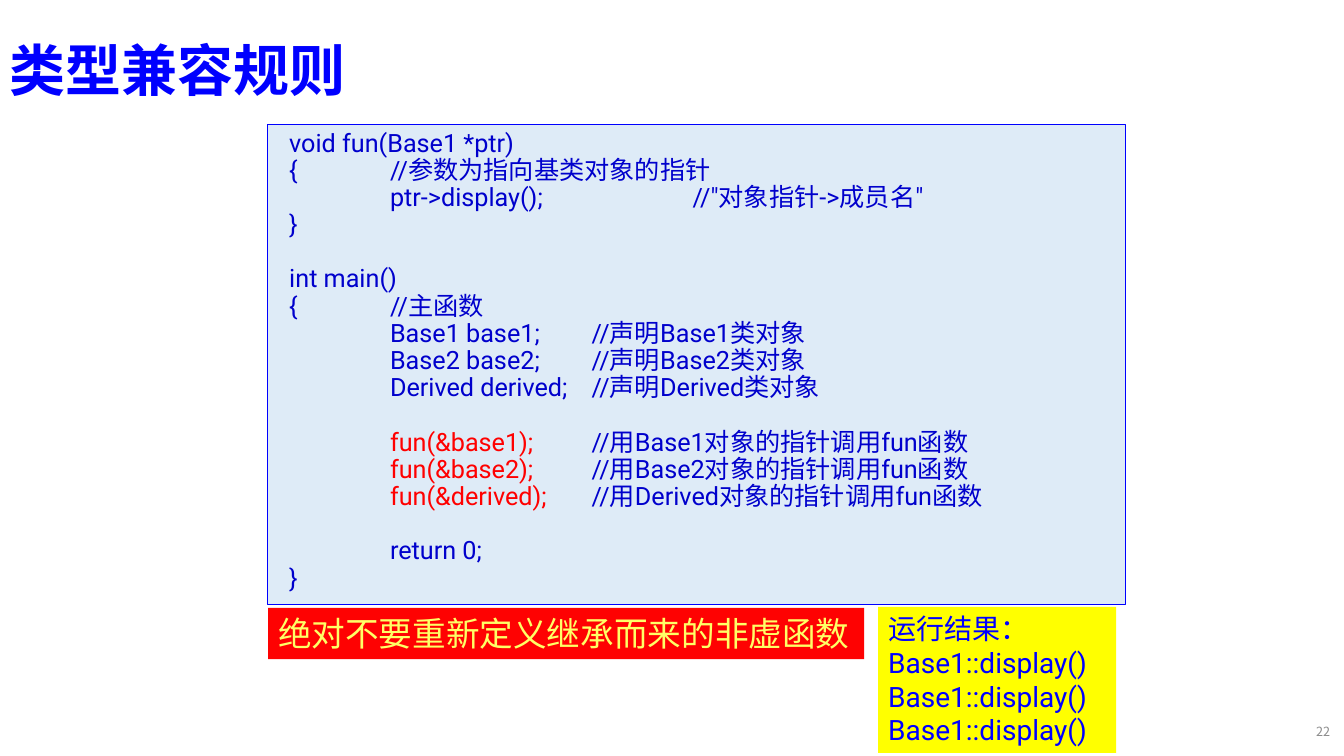
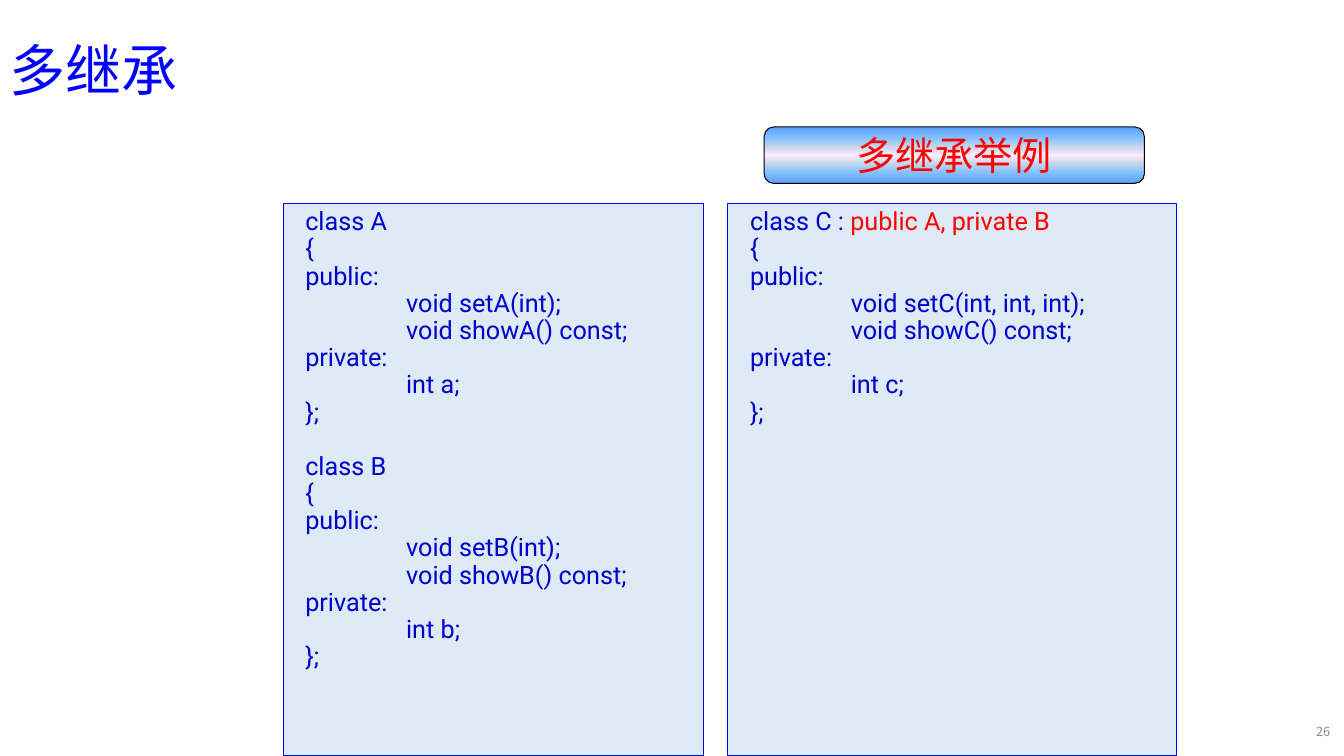
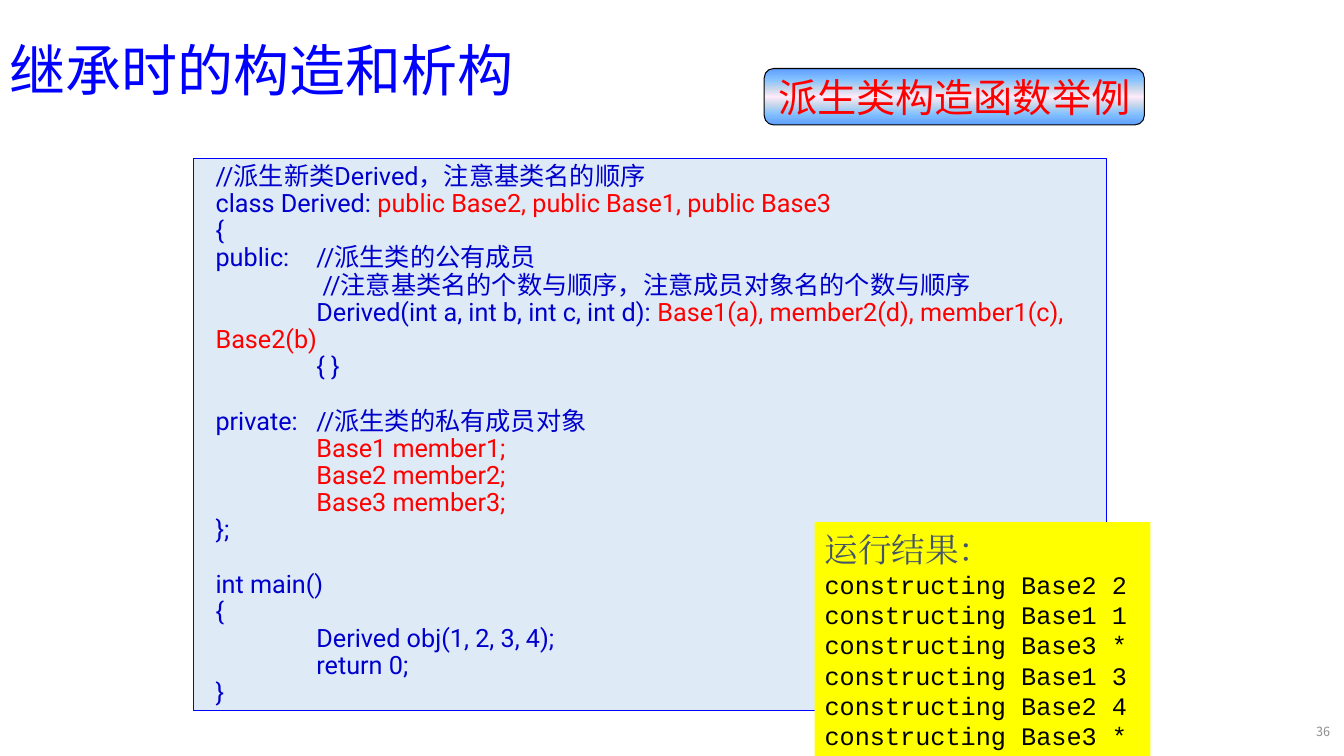
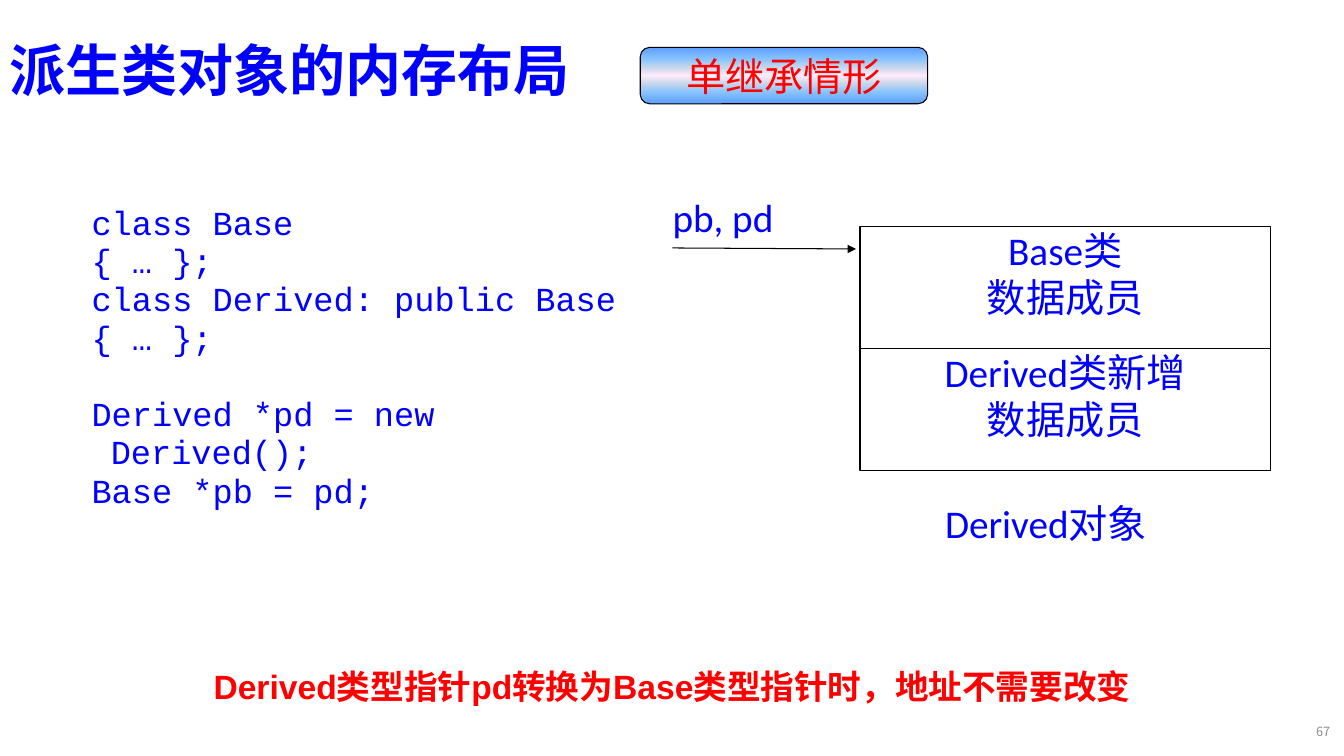
from lxml import etree
from pptx import Presentation
from pptx.dml.color import RGBColor
from pptx.enum.shapes import MSO_CONNECTOR, MSO_SHAPE
from pptx.enum.text import MSO_ANCHOR, PP_ALIGN
from pptx.oxml.ns import qn
from pptx.util import Inches, Pt

RECT, ROUNDED = MSO_SHAPE.RECTANGLE, MSO_SHAPE.ROUNDED_RECTANGLE
STRAIGHT = MSO_CONNECTOR.STRAIGHT
TOP, MIDDLE = MSO_ANCHOR.TOP, MSO_ANCHOR.MIDDLE
LEFT, CENTER, RIGHT = PP_ALIGN.LEFT, PP_ALIGN.CENTER, PP_ALIGN.RIGHT

BLUE = RGBColor(0x00, 0x00, 0xFF)
CODE_BLUE = RGBColor(0x00, 0x00, 0xCC)
RED = RGBColor(0xFF, 0x00, 0x00)
WARNING_RED = RGBColor(0xFE, 0x02, 0x02)
PALE_BLUE = RGBColor(0xDE, 0xEB, 0xF7)
YELLOW = RGBColor(0xFF, 0xFF, 0x00)
PALE_YELLOW = RGBColor(0xFF, 0xFF, 0x66)
SLATE = RGBColor(0x44, 0x54, 0x6A)
GRAY = RGBColor(0x8C, 0x8C, 0x8C)
BLACK = RGBColor(0x00, 0x00, 0x00)
BADGE_STOPS = [(0, "5E9EFF"), (20, "85C2FF"), (35, "C4D6EB"), (50, "FFEBFA"),
               (65, "C4D6EB"), (80, "85C2FF"), (100, "5E9EFF")]

CJK, SANS, CODE = "Noto Sans CJK SC", "Arial", "Roboto"
MONO, LABEL, SERIF = "Courier New", "Calibri", "Times New Roman"
LINE_HEIGHT = 1.2
HAIRLINE = Pt(0.75)

FUN_CODE = """void fun(Base1 *ptr)
{\t//参数为指向基类对象的指针
\tptr->display();\t\t//"对象指针->成员名"
}

int main()
{\t//主函数
\tBase1 base1;\t//声明Base1类对象
\tBase2 base2;\t//声明Base2类对象
\tDerived derived;\t//声明Derived类对象

\t|fun(&base1);|\t//用Base1对象的指针调用fun函数
\t|fun(&base2);|\t//用Base2对象的指针调用fun函数
\t|fun(&derived);|\t//用Derived对象的指针调用fun函数

\treturn 0;
}"""

CLASS_CODE = """class {0}
{{
public:
\tvoid set{1}({2});
\tvoid show{1}() const;
private:
\tint {3};
}};"""

DERIVED_CODE = """//派生新类Derived，注意基类名的顺序
class Derived: |public Base2, public Base1, public Base3|
{
public:\t//派生类的公有成员
\t //注意基类名的个数与顺序，注意成员对象名的个数与顺序
\tDerived(int a, int b, int c, int d): |Base1(a), member2(d), member1(c), Base2(b)|
\t{ }

private:\t//派生类的私有成员对象
\t|Base1 member1;|
\t|Base2 member2;|
\t|Base3 member3;|
};

int main()
{
\tDerived obj(1, 2, 3, 4);
\treturn 0;
}"""

LAYOUT_CODE = """class Base
{ … };
class Derived: public Base
{ … };

Derived *pd = new Derived();
Base *pb = pd;"""


def write(box, text, *, font, size, color, bold=False, align=LEFT, anchor=TOP,
          inset=None, spacing=1, leading=None, margin=0, indent=0):
    """Append lines to box; text between bars is red, an empty line becomes a gap."""
    frame = box.text_frame
    frame.word_wrap = True
    frame.vertical_anchor = anchor
    if inset is not None:
        frame.margin_left = frame.margin_right = Inches(inset)
        frame.margin_top = frame.margin_bottom = Inches(inset)
    leading = leading or Pt(size * LINE_HEIGHT * spacing)
    gap = False
    for line in text.split("\n"):
        if not line:
            gap = True
            continue
        para = frame.paragraphs[-1]
        if para.runs:
            para = frame.add_paragraph()
        para.alignment = align
        para.line_spacing = leading
        if gap:
            para.space_before = leading
            gap = False
        properties = para._p.get_or_add_pPr()
        for name, length in (("marL", margin), ("indent", indent), ("defTabSz", 1)):
            properties.set(name, str(Inches(length)))
        for position, piece in enumerate(line.split("|")):
            if piece:
                add_span(para, piece, font, size, RED if position % 2 else color, bold)


def add_span(para, text, font, size, color, bold):
    span = para.add_run()
    span.text = text
    span.font.name = font
    span.font.size = Pt(size)
    span.font.bold = bold
    span.font.color.rgb = color
    east_asian = etree.SubElement(span.font._element, qn("a:ea"))
    east_asian.set("typeface", font)


def add_text(slide, at, text, **style):
    box = slide.shapes.add_textbox(*map(Inches, at))
    write(box, text, **style)


def add_box(slide, at, kind=RECT, fill=None, line=None):
    box = slide.shapes.add_shape(kind, *map(Inches, at))
    box.shadow.inherit = False
    if fill is None:
        box.fill.background()
    else:
        box.fill.solid()
        box.fill.fore_color.rgb = fill
    if line is None:
        box.line.fill.background()
    else:
        box.line.color.rgb = line
        box.line.width = HAIRLINE
    return box


def add_code(slide, at, code):
    box = add_box(slide, at, fill=PALE_BLUE, line=BLUE)
    write(box, code, font=CODE, size=18, color=CODE_BLUE, spacing=0.9, margin=0.12)


def add_badge(slide, at, text):
    badge = add_box(slide, at, kind=ROUNDED, line=BLACK)
    badge.fill.gradient()
    badge.fill.gradient_angle = 90
    stops = next(badge.element.iter(qn("a:gsLst")))
    for stop in list(stops):
        stops.remove(stop)
    for percent, color in BADGE_STOPS:
        stop = etree.SubElement(stops, qn("a:gs"), pos=str(percent * 1000))
        etree.SubElement(stop, qn("a:srgbClr"), val=color)
    write(badge, text, font=SANS, size=28, color=RED, align=CENTER,
          anchor=MIDDLE, inset=0)


def add_arrow(slide, start, end):
    arrow = slide.shapes.add_connector(STRAIGHT, *map(Inches, start + end))
    arrow.line.color.rgb = BLACK
    arrow.line.width = HAIRLINE
    etree.SubElement(arrow.line._get_or_add_ln(), qn("a:tailEnd"), type="triangle")
    etree.SubElement(arrow.element.spPr, qn("a:effectLst"))


def add_slide(deck, title, number, bold=False):
    """Start a slide with the shared title and page number."""
    slide = deck.slides.add_slide(deck.slide_layouts[6])
    add_text(slide, (0, 0, 11.5, 1.45), title, font=CJK, size=40, color=BLUE,
             bold=bold, anchor=MIDDLE, leading=0.9)
    add_text(slide, (12.89, 7.06, 0.4, 0.4), str(number), font=CJK, size=9,
             color=GRAY, align=RIGHT, anchor=MIDDLE)
    return slide


def build_compatibility(deck):
    slide = add_slide(deck, "类型兼容规则", 22, bold=True)
    add_code(slide, (2.65, 1.24, 8.51, 4.76), FUN_CODE)
    result = add_box(slide, (8.71, 6.02, 2.36, 1.45), fill=YELLOW)
    write(result, "\n".join(["运行结果："] + ["Base1::display()"] * 3),
          font=CODE, size=20, color=BLUE)
    warning = add_box(slide, (2.66, 6.03, 5.91, 0.51), fill=WARNING_RED)
    write(warning, "绝对不要重新定义继承而来的非虚函数",
          font=CODE, size=24, color=PALE_YELLOW)


def build_multiple_inheritance(deck):
    slide = add_slide(deck, "多继承", 26)
    add_badge(slide, (7.58, 1.26, 3.77, 0.56), "多继承举例")
    bases = [CLASS_CODE.format(name, name, "int", name.lower()) for name in "AB"]
    add_code(slide, (2.81, 2.02, 4.17, 5.48), "\n\n".join(bases))
    add_code(slide, (7.22, 2.02, 4.45, 5.48),
             CLASS_CODE.format("C : |public A, private B|", "C", "int, int, int", "c"))


def build_construction(deck):
    slide = add_slide(deck, "继承时的构造和析构", 36)
    add_badge(slide, (7.58, 0.68, 3.77, 0.56), "派生类构造函数举例")
    add_code(slide, (1.92, 1.57, 9.06, 5.48), DERIVED_CODE)
    result = add_box(slide, (8.08, 5.18, 3.33, 2.32), fill=YELLOW)
    write(result, "运行结果：", font=SERIF, size=24, color=SLATE, leading=Pt(30))
    output = "\n".join(f"constructing Base{call}"
                       for call in ("2 2", "1 1", "3 *", "1 3", "2 4", "3 *"))
    write(result, output, font=MONO, size=18, color=BLACK)


def build_memory_layout(deck):
    slide = add_slide(deck, "派生类对象的内存布局", 67, bold=True)
    add_badge(slide, (6.35, 0.47, 2.85, 0.56), "单继承情形")
    add_text(slide, (0.81, 1.97, 5.48, 3.92), LAYOUT_CODE, font=MONO, size=24,
             color=BLUE, spacing=0.95, margin=0.19, indent=-0.19)
    label = {"font": LABEL, "size": 28, "color": BLUE, "inset": 0}
    cell_height = 1.21
    for row, owner in enumerate(("Base类", "Derived类新增")):
        cell = add_box(slide, (8.53, 2.25 + row * cell_height, 4.07, cell_height),
                       line=BLACK)
        write(cell, owner + "\n数据成员", align=CENTER, **label)
    add_arrow(slide, (6.67, 2.46), (8.49, 2.47))
    add_text(slide, (6.67, 1.92, 1.38, 0.73), "pb, pd", **label)
    add_text(slide, (9.11, 4.95, 2.53, 0.64), "Derived对象", align=CENTER, **label)
    add_text(slide, (1.65, 6.56, 10.03, 0.5),
             "Derived类型指针pd转换为Base类型指针时，地址不需要改变",
             font=SANS, size=24, color=RED, bold=True, align=CENTER)


def main():
    deck = Presentation()
    deck.slide_width, deck.slide_height = Inches(13.33), Inches(7.5)
    build_compatibility(deck)
    build_multiple_inheritance(deck)
    build_construction(deck)
    build_memory_layout(deck)
    deck.save("out.pptx")


if __name__ == "__main__":
    main()
